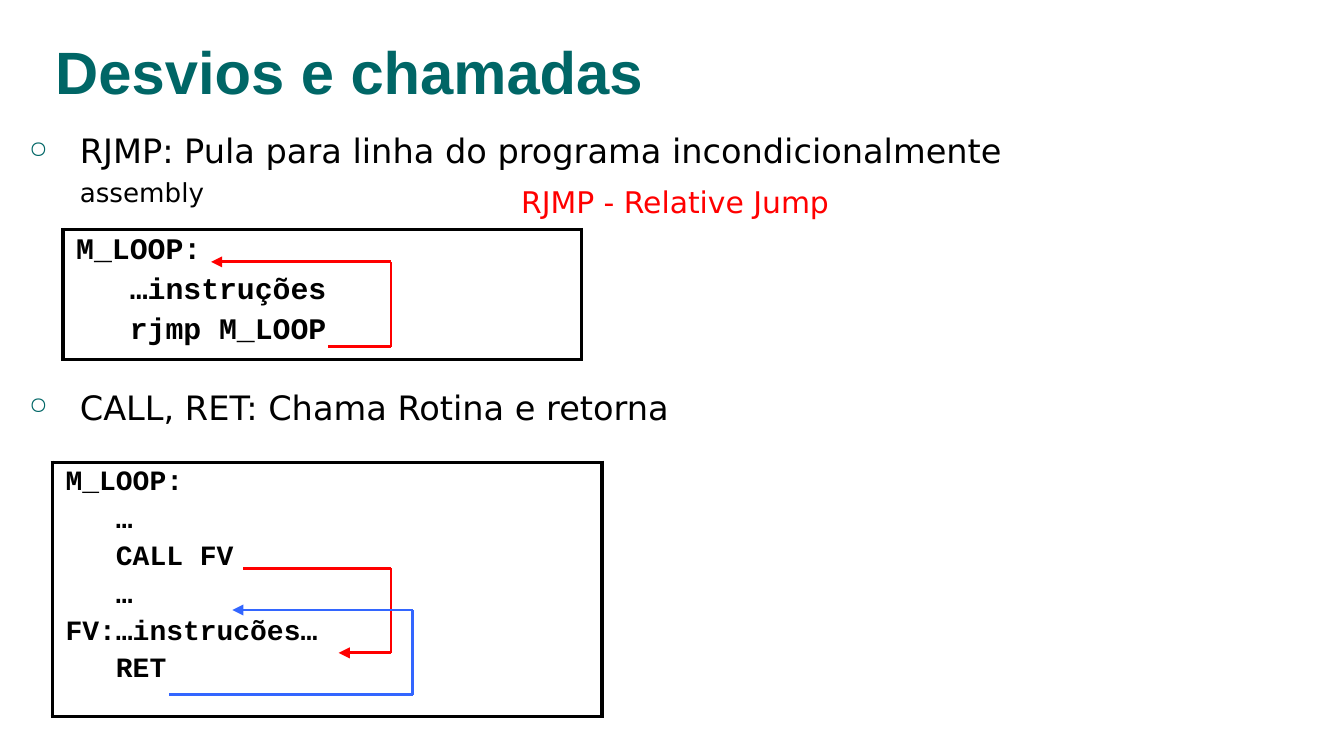
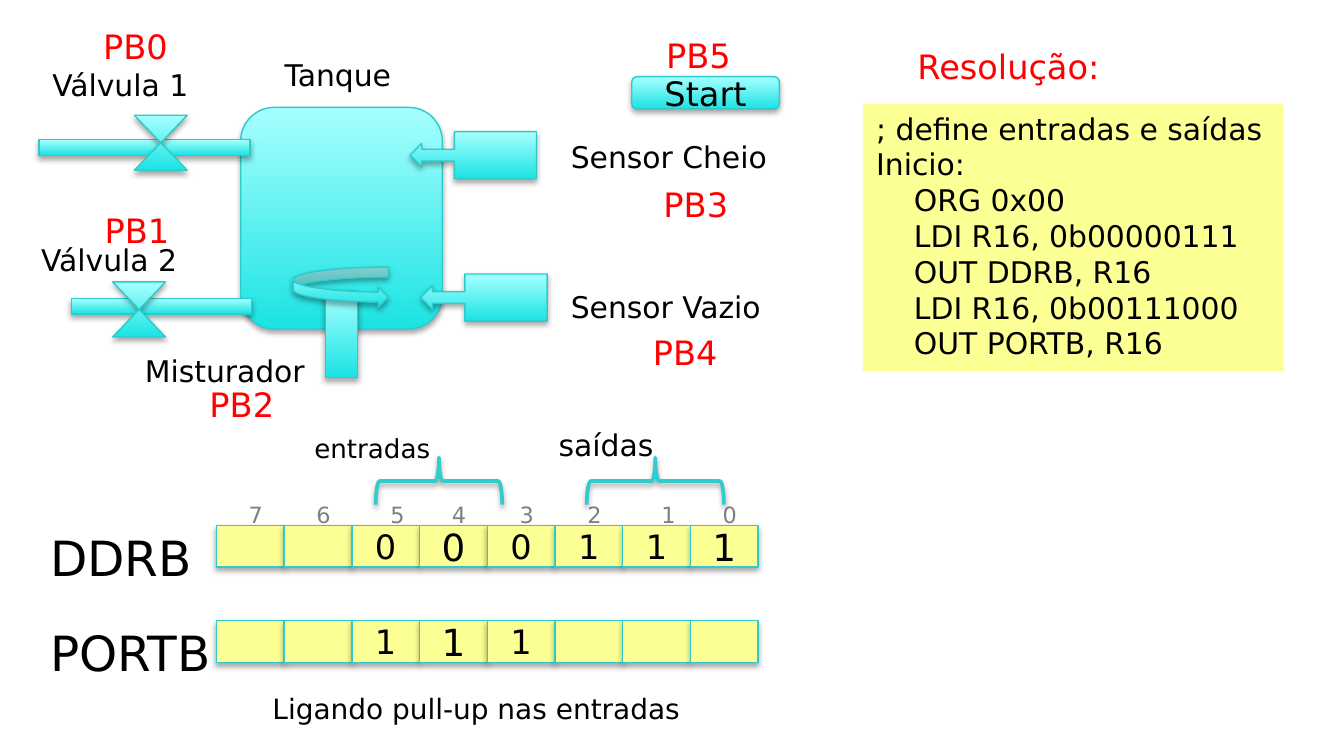
import pptx
import pptx.dml.color
import pptx.enum.shapes
import pptx.enum.text
import pptx.oxml
import pptx.oxml.ns
import pptx.util
from lxml import etree

Cm = pptx.util.Cm
Pt = pptx.util.Pt
SHAPE = pptx.enum.shapes.MSO_SHAPE
ANCHOR = pptx.enum.text.MSO_ANCHOR
ALIGN = pptx.enum.text.PP_ALIGN
qn = pptx.oxml.ns.qn

COLORS = {
    "title": "006666",
    "text": "000000",
    "red": "FF0000",
    "blue": "3366FF",
    "deep": "1CE3E3",
    "light": "A7FFFF",
    "outline": "2ECBCB",
    "brace": "33CCCC",
    "yellow": "FCFF93",
    "index": "7F7F7F",
}
BODY_FONT = "DejaVu Sans"
TITLE_FONT = "Arial"
CODE_FONT = "Courier New"


def rgb(color):
    return pptx.dml.color.RGBColor.from_string(COLORS[color])


def add_xml(parent, tag, **attributes):
    return etree.SubElement(parent, qn(tag), attributes)


def format_runs(paragraph, size, color="text", font=BODY_FONT, bold=False):
    for run in paragraph.runs:
        run.font.size = Pt(size)
        run.font.name = font
        run.font.bold = bold
        run.font.color.rgb = rgb(color)


def add_label(slide, text, left, top, width, height=0.94, size=16, color="text"):
    label = slide.shapes.add_textbox(Cm(left), Cm(top), Cm(width), Cm(height))
    frame = label.text_frame
    frame.text = text
    frame.word_wrap = False
    frame.auto_size = pptx.enum.text.MSO_AUTO_SIZE.SHAPE_TO_FIT_TEXT
    for paragraph in frame.paragraphs:
        format_runs(paragraph, size, color)
    return label


def add_shadow(shape):
    shape.shadow.inherit = False
    effects = shape._element.spPr.find(qn("a:effectLst"))
    shadow = add_xml(effects, "a:outerShdw", blurRad=str(Pt(3.1)), dist=str(Pt(1.8)),
                     dir="5400000", rotWithShape="0")
    black = add_xml(shadow, "a:srgbClr", val=COLORS["text"])
    add_xml(black, "a:alpha", val="35000")


def add_part(slide, kind, left, top, width, height, fill=None, text="", size=18):
    """Add an outlined, shadowed shape; without a fill colour it gets the aqua gradient."""
    part = slide.shapes.add_shape(kind, Cm(left), Cm(top), Cm(width), Cm(height))
    if fill:
        part.fill.solid()
        part.fill.fore_color.rgb = rgb(fill)
    else:
        part.fill.gradient()
        part.fill.gradient_angle = 90
        for stop, color, position in zip(part.fill.gradient_stops, ("deep", "light"), (0, 1)):
            stop.color.rgb = rgb(color)
            stop.position = position
    part.line.color.rgb = rgb("outline")
    part.line.width = Pt(0.75)
    add_shadow(part)
    if text:
        frame = part.text_frame
        frame.margin_top = frame.margin_bottom = 0
        frame.vertical_anchor = ANCHOR.MIDDLE
        frame.text = text
        frame.paragraphs[0].alignment = ALIGN.CENTER
        format_runs(frame.paragraphs[0], size)
    return part


def add_title(slide, text):
    title = slide.shapes.title
    title.left, title.top, title.width, title.height = Cm(0.79), Cm(-0.25), Cm(20.32), Cm(2.39)
    frame = title.text_frame
    frame.text = text
    frame.vertical_anchor = ANCHOR.BOTTOM
    frame.paragraphs[0].alignment = ALIGN.LEFT
    format_runs(frame.paragraphs[0], 32, "title", TITLE_FONT, bold=True)


def add_topics(slide, left, top, width, height):
    topics = slide.shapes.add_textbox(Cm(left), Cm(top), Cm(width), Cm(height))
    frame = topics.text_frame
    frame.word_wrap = True
    lines = [
        ("RJMP: Pula para linha do programa incondicionalmente", 18, 0, True),
        ("assembly", 14, 3, False),
        ("CALL, RET: Chama Rotina e retorna", 18, 96, True),
    ]
    frame.text = "\n".join(line[0] for line in lines)
    for paragraph, (_, size, gap, bulleted) in zip(frame.paragraphs, lines):
        properties = paragraph._p.get_or_add_pPr()
        properties.set("marL", str(Cm(0.96)))
        properties.set("indent", str(Cm(-0.96) if bulleted else 0))
        if bulleted:
            bullet_color = add_xml(properties, "a:buClr")
            add_xml(bullet_color, "a:srgbClr", val=COLORS["title"])
            add_xml(properties, "a:buSzPct", val="70000")
            add_xml(properties, "a:buChar", char="○")
        paragraph.space_before = Pt(gap)
        format_runs(paragraph, size)


def add_code_box(slide, code, left, top, width, height, size):
    table = slide.shapes.add_table(1, 1, Cm(left), Cm(top), Cm(width), Cm(height)).table
    table.first_row = table.horz_banding = False
    cell = table.cell(0, 0)
    cell.margin_left = cell.margin_right = Cm(0.25)
    cell.margin_top = cell.margin_bottom = Cm(0.1)
    cell.text_frame.text = code
    for number, paragraph in enumerate(cell.text_frame.paragraphs):
        paragraph.space_before = Pt(0.2 * size if number else 0)
        format_runs(paragraph, size, font=CODE_FONT, bold=True)
    properties = cell._tc.get_or_add_tcPr()
    for side in "LRTB":
        border = add_xml(properties, f"a:ln{side}", w=str(Pt(2.25)))
        add_xml(add_xml(border, "a:solidFill"), "a:srgbClr", val=COLORS["text"])
    cell.fill.background()


def add_jump(slide, left, top, points, color):
    """Trace straight segments through the points and end in an arrowhead."""
    segments = list(zip(points, points[1:]))
    for number, ((x1, y1), (x2, y2)) in enumerate(segments, 1):
        segment = slide.shapes.add_connector(
            pptx.enum.shapes.MSO_CONNECTOR.STRAIGHT,
            Cm(left + x1), Cm(top + y1), Cm(left + x2), Cm(top + y2))
        segment.line.color.rgb = rgb(color)
        segment.line.width = Pt(1.5)
        add_xml(segment._element.spPr, "a:effectLst")
        if number == len(segments):
            add_xml(segment.line._get_or_add_ln(), "a:tailEnd", type="triangle")


def add_rjmp_example(slide, left, top):
    code = "M_LOOP:\n   …instruções\n   rjmp M_LOOP"
    add_code_box(slide, code, left, top, 9.8, 2.3, 16)
    add_jump(slide, left, top, [(5.01, 2.21), (6.2, 2.21), (6.2, 0.61), (2.8, 0.61)], "red")


def add_call_example(slide, left, top):
    code = "M_LOOP:\n   …\n   CALL FV\n   …\nFV:…instrucões…\n   RET"
    add_code_box(slide, code, left, top, 10.39, 4.8, 15)
    add_jump(slide, left, top, [(3.61, 2), (6.4, 2), (6.4, 3.6), (5.41, 3.6)], "red")
    add_jump(slide, left, top, [(2.21, 4.39), (6.81, 4.39), (6.81, 2.79), (3.4, 2.79)], "blue")


def build_jumps_slide(deck):
    slide = deck.slides.add_slide(deck.slide_layouts[5])
    add_title(slide, "Desvios e chamadas")
    add_topics(slide, 0.3, 2.34, 20.4, 10.41)
    add_rjmp_example(slide, 1.19, 4.34)
    add_call_example(slide, 0.99, 8.74)
    add_label(slide, "RJMP - Relative Jump", 9.6, 3.35, 6.65, color="red")


def add_tank_diagram(slide, left, top):
    parts = [
        (SHAPE.ROUNDED_RECTANGLE, 4.05, 1.68, 3.81, 4.19),
        (SHAPE.RECTANGLE, 0.24, 2.29, 3.99, 0.3),
        (SHAPE.FLOWCHART_COLLATE, 2.04, 1.83, 1, 1.04),
        (SHAPE.RECTANGLE, 0.85, 5.29, 3.4, 0.3),
        (SHAPE.FLOWCHART_COLLATE, 1.63, 4.98, 1, 1.04),
        (SHAPE.LEFT_ARROW_CALLOUT, 7.25, 2.14, 2.39, 0.89),
        (SHAPE.LEFT_ARROW_CALLOUT, 7.45, 4.83, 2.39, 0.89),
        (SHAPE.RECTANGLE, 5.65, 5.14, 0.61, 1.65),
        (SHAPE.CURVED_RIGHT_ARROW, 5.04, 4.7, 1.8, 0.76),
    ]
    for kind, x, y, width, height in parts:
        add_part(slide, kind, left + x, top + y, width, height)
    add_part(slide, SHAPE.ROUNDED_RECTANGLE, left + 11.44, top + 1.1, 2.79, 0.61, text="Start")

    names = [
        ("Válvula 1", 0.24, 0.79, 3.15),
        ("Válvula 2", 0.03, 4.1, 3.15),
        ("Sensor Cheio", 10.04, 2.14, 4.29),
        ("Sensor Vazio", 10.04, 4.98, 4.19),
        ("Misturador", 1.99, 6.2, 3.56),
        ("Tanque", 4.63, 0.59, 2.57),
    ]
    for name, x, y, width in names:
        add_label(slide, name, left + x, top + y, width)

    pins = [(1.2, 0.01), (1.23, 3.49), (3.21, 6.79), (11.79, 3), (11.59, 5.8), (11.84, 0.18)]
    for number, (x, y) in enumerate(pins):
        add_label(slide, f"PB{number}", left + x, top + y, 1.75, 1.02, 18, "red")


BIT_WIDTH = 1.28
LARGE_BITS = (4, 0)
SHIFTED_INDEXES = (5, 1)


def add_register(slide, name, bits, left, top, name_width):
    """Draw a register row from bit 7 to bit 0, with its name to the left of the cells."""
    add_label(slide, name, left, top - 0.08, name_width, 1.37, 26)
    for column, value in enumerate(bits):
        size = 20 if 7 - column in LARGE_BITS else 18
        add_part(slide, SHAPE.RECTANGLE, left + 3.39 + column * BIT_WIDTH, top,
                 BIT_WIDTH, 0.79, "yellow", value.strip(), size)


def add_bit_indexes(slide, left, top):
    for column in range(8):
        bit = 7 - column
        shift = 0.12 if bit in SHIFTED_INDEXES else 0
        add_label(slide, str(bit), left + column * BIT_WIDTH + shift, top,
                  0.79, 0.76, 12, "index")


def add_brace(slide, left, top, width, height):
    brace = slide.shapes.add_shape(SHAPE.LEFT_BRACE, Cm(left), Cm(top), Cm(width), Cm(height))
    brace.rotation = 90
    brace.fill.background()
    brace.line.color.rgb = rgb("brace")
    brace.line.width = Pt(2)
    add_shadow(brace)


def add_registers(slide, left, top):
    add_register(slide, "DDRB", "  000111", left, top + 2.13, 3.23)
    add_bit_indexes(slide, left + 3.75, top + 1.55)
    add_register(slide, "PORTB", "  111   ", left, top + 3.93, 3.63)
    add_label(slide, "Ligando pull-up nas entradas", left + 4.2, top + 5.15, 8.33, 0.89, 15)
    add_label(slide, "entradas", left + 4.99, top + 0.25, 2.8, 0.86, 14)
    add_label(slide, "saídas", left + 9.61, top + 0.15, 2.35)
    add_brace(slide, left + 7.15, top + 0.1, 0.89, 2.39)
    add_brace(slide, left + 11.24, top, 0.89, 2.59)


def add_solution(slide, left, top):
    add_label(slide, "Resolução:", left + 0.78, top, 4.04, 1.02, 18, "red")
    code = "\n".join([
        "; define entradas e saídas",
        "Inicio:",
        "    ORG 0x00",
        "    LDI R16, 0b00000111",
        "    OUT DDRB, R16",
        "    LDI R16, 0b00111000",
        "    OUT PORTB, R16",
    ])
    listing = add_label(slide, code, left, top + 1.22, 7.95, 5.05)
    listing.fill.solid()
    listing.fill.fore_color.rgb = rgb("yellow")


def build_tank_slide(deck):
    slide = deck.slides.add_slide(deck.slide_layouts[6])
    add_tank_diagram(slide, 0.5, 0.35)
    add_registers(slide, 0.7, 7.8)
    add_solution(slide, 16.31, 0.74)


def main():
    deck = pptx.Presentation()
    deck.slide_width, deck.slide_height = Cm(25.4), Cm(14.29)
    build_jumps_slide(deck)
    build_tank_slide(deck)
    deck.save("out.pptx")


if __name__ == "__main__":
    main()
